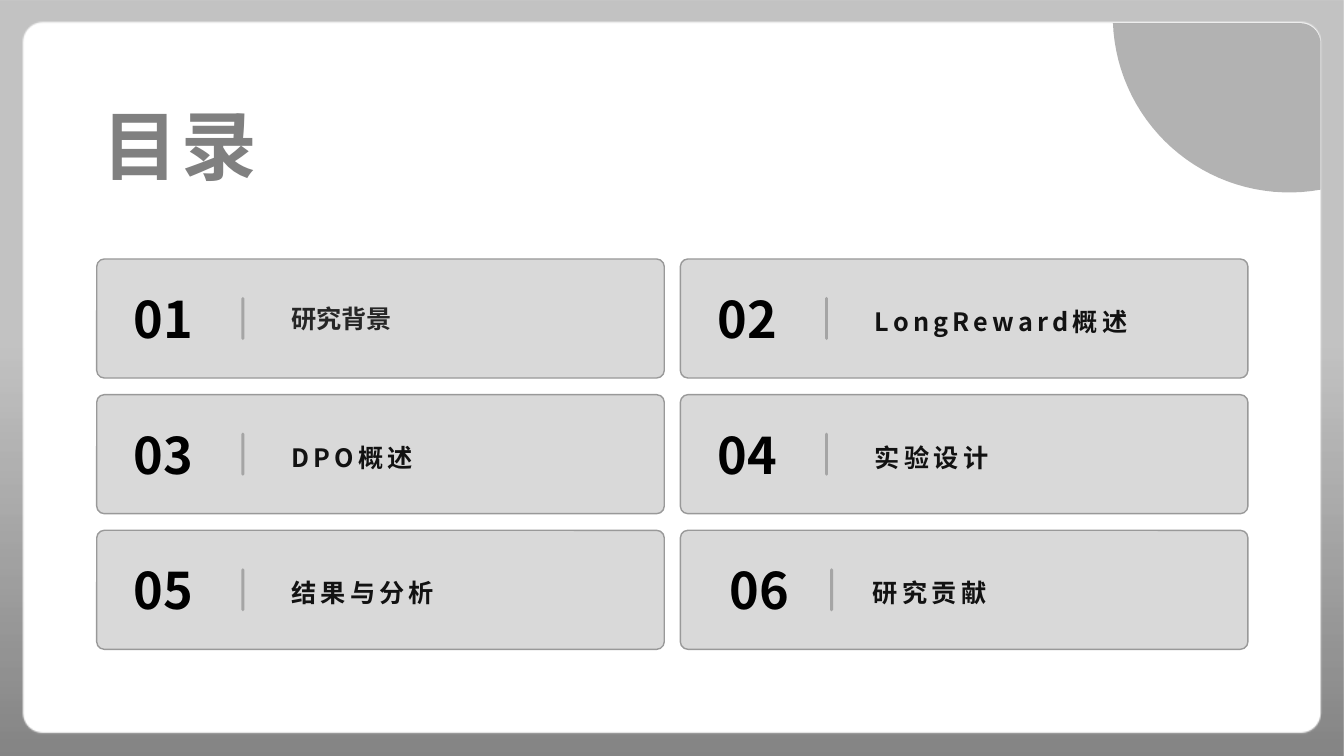
from dataclasses import dataclass
from math import acos, asin, cos, degrees, radians, sin

from pptx import Presentation
from pptx.dml.color import RGBColor
from pptx.enum.shapes import MSO_CONNECTOR, MSO_SHAPE
from pptx.enum.text import MSO_ANCHOR, PP_ALIGN
from pptx.oxml.ns import qn
from pptx.oxml.xmlchemy import OxmlElement
from pptx.util import Pt

ROUND_RECT = MSO_SHAPE.ROUNDED_RECTANGLE
STRAIGHT = MSO_CONNECTOR.STRAIGHT
MIDDLE = MSO_ANCHOR.MIDDLE
LEFT, CENTER = PP_ALIGN.LEFT, PP_ALIGN.CENTER

COLORS = {
    "black": "000000",
    "number_end": "1E1E1E",
    "label": "121212",
    "first_label": "262626",
    "title": "808080",
    "line": "999999",
    "corner": "666666",
}
CJK = "Noto Sans CJK SC"

SLIDE_W, SLIDE_H = 960, 540
PANEL_L, PANEL_T, PANEL_R, PANEL_B, PANEL_RADIUS = 16.6, 16.6, 943.2, 523.4, 14.4
DISC_X, DISC_Y, DISC_RADIUS = 920.9, 11.5, 126
GRID_X, GRID_Y, STEP_X, STEP_Y = 69.1, 185, 416.9, 96.9
CARD_W, CARD_H = 405.4, 85

Point = tuple[float, float]


@dataclass
class Entry:
    number: str
    label: str
    number_x: float = 11.5
    divider_x: float = 104.4
    label_x: float = 139
    font: str = CJK
    color: str = "label"
    spacing: float = 3
    line_spacing: float = 1.2


ENTRIES = [
    Entry("01", "研究背景", font="Arial", color="first_label", spacing=0, line_spacing=1),
    Entry("02", "LongReward概述"),
    Entry("03", "DPO概述"),
    Entry("04", "实验设计"),
    Entry("05", "结果与分析"),
    Entry("06", "研究贡献", number_x=20.2, divider_x=108, label_x=137.5),
]


def rgb(name: str) -> RGBColor:
    return RGBColor.from_string(COLORS[name])


def set_opacity(element, *percents: float) -> None:
    """Apply opacities to the first colours found inside the element, in order."""
    for color, percent in zip(element.iter(qn("a:srgbClr")), percents):
        alpha = OxmlElement("a:alpha")
        alpha.set("val", str(percent * 1000))
        color.append(alpha)


def fill_gradient(fill, angle: float, *stops: tuple[float, str]) -> None:
    fill.gradient()
    fill.gradient_angle = angle
    for stop, (position, color) in zip(fill.gradient_stops, stops):
        stop.position = position
        stop.color.rgb = rgb(color)


def arc(x: float, y: float, radius: float, start: float, end: float) -> list[Point]:
    """Points along a circle, with angles in degrees clockwise from the right."""
    steps = 32
    angles = [radians(start + (end - start) * i / steps) for i in range(steps + 1)]
    return [(x + radius * cos(a), y + radius * sin(a)) for a in angles]


def add_outline(s, *contours: list[Point]):
    builder = None
    for contour in contours:
        (x, y), *rest = [(Pt(px), Pt(py)) for px, py in contour]
        if builder is None:
            builder = s.shapes.build_freeform(x, y)
        else:
            builder.move_to(x, y)
        builder.add_line_segments(rest, close=True)
    sp = builder.convert_to_shape()
    sp.shadow.inherit = False
    sp.line.fill.background()
    return sp


def add_backdrop(s) -> None:
    left, right = PANEL_L + PANEL_RADIUS, PANEL_R - PANEL_RADIUS
    top, bottom = PANEL_T + PANEL_RADIUS, PANEL_B - PANEL_RADIUS
    top_right = arc(right, top, PANEL_RADIUS, 270, 360)
    panel = (top_right + arc(right, bottom, PANEL_RADIUS, 0, 90)
             + arc(left, bottom, PANEL_RADIUS, 90, 180)
             + arc(left, top, PANEL_RADIUS, 180, 270))
    edge = [(0, 0), (SLIDE_W, 0), (SLIDE_W, SLIDE_H), (0, SLIDE_H)]
    frame = add_outline(s, edge, panel)
    fill_gradient(frame.fill, 270, (0.45, "black"), (1, "black"))
    set_opacity(frame._element.spPr, 23, 48)

    start = degrees(acos((PANEL_R - DISC_X) / DISC_RADIUS))
    end = 180 - degrees(asin((PANEL_T - DISC_Y) / DISC_RADIUS))
    corner = add_outline(s, top_right + arc(DISC_X, DISC_Y, DISC_RADIUS, start, end))
    corner.fill.solid()
    corner.fill.fore_color.rgb = rgb("corner")
    set_opacity(corner._element.spPr, 50)


def write(tf, text: str, *, size: float, font: str = CJK, color: str = "black",
          align=LEFT, spacing: float = 0, line_spacing: float = 1,
          inset: Point = (0, 0), wrap: bool = True):
    tf.word_wrap = wrap
    tf.vertical_anchor = MIDDLE
    tf.margin_left = tf.margin_right = Pt(inset[0])
    tf.margin_top = tf.margin_bottom = Pt(inset[1])
    p = tf.paragraphs[0]
    p.alignment = align
    p.line_spacing = line_spacing
    r = p.add_run()
    r.text = text
    r.font.size, r.font.bold, r.font.name = Pt(size), True, font
    r.font.color.rgb = rgb(color)
    props = r._r.get_or_add_rPr()
    east_asian = OxmlElement("a:ea")
    east_asian.set("typeface", CJK)
    props.find(qn("a:latin")).addnext(east_asian)
    if spacing:
        props.set("spc", str(spacing * 100))
    return r


def add_divider(s, x: float, top: float, bottom: float) -> None:
    line = s.shapes.add_connector(STRAIGHT, Pt(x), Pt(bottom), Pt(x), Pt(top))
    line.line.color.rgb = rgb("line")
    line.line.width = Pt(2)
    props = line._element.spPr
    props.find(qn("a:ln")).set("cap", "rnd")
    props.append(OxmlElement("a:effectLst"))
    set_opacity(props, 80)


def add_entry(s, entry: Entry, x: float, y: float) -> None:
    card = s.shapes.add_shape(ROUND_RECT, Pt(x), Pt(y), Pt(CARD_W), Pt(CARD_H))
    card.adjustments[0] = 0.064
    card.shadow.inherit = False
    card.fill.solid()
    card.fill.fore_color.rgb = rgb("black")
    set_opacity(card._element.spPr, 15)
    card.line.color.rgb = rgb("line")
    card.line.width = Pt(1)

    add_divider(s, x + entry.divider_x, y + 28.1, y + 56.9)

    number = s.shapes.add_textbox(Pt(x + entry.number_x), Pt(y), Pt(72.7), Pt(CARD_H))
    r = write(number.text_frame, entry.number, size=36, align=CENTER, wrap=False)
    fill_gradient(r.font.fill, 315, (0.19, "black"), (0.74, "number_end"))

    label = s.shapes.add_textbox(Pt(x + entry.label_x), Pt(y + 11.9), Pt(254.2), Pt(61.2))
    write(label.text_frame, entry.label, size=18, font=entry.font, color=entry.color,
          spacing=entry.spacing, line_spacing=entry.line_spacing)


def main() -> None:
    prs = Presentation()
    prs.slide_width, prs.slide_height = Pt(SLIDE_W), Pt(SLIDE_H)
    s = prs.slides.add_slide(prs.slide_layouts[5])
    add_backdrop(s)

    title = s.shapes.title
    title.left, title.top, title.width, title.height = Pt(66.2), Pt(60.5), Pt(131.8), Pt(85)
    write(title.text_frame, "目录", size=54, font="Arial", color="title",
          spacing=2, inset=(7.2, 3.6))

    for i, entry in enumerate(ENTRIES):
        row, column = divmod(i, 2)
        add_entry(s, entry, GRID_X + column * STEP_X, GRID_Y + row * STEP_Y)
    prs.save("out.pptx")


if __name__ == "__main__":
    main()
